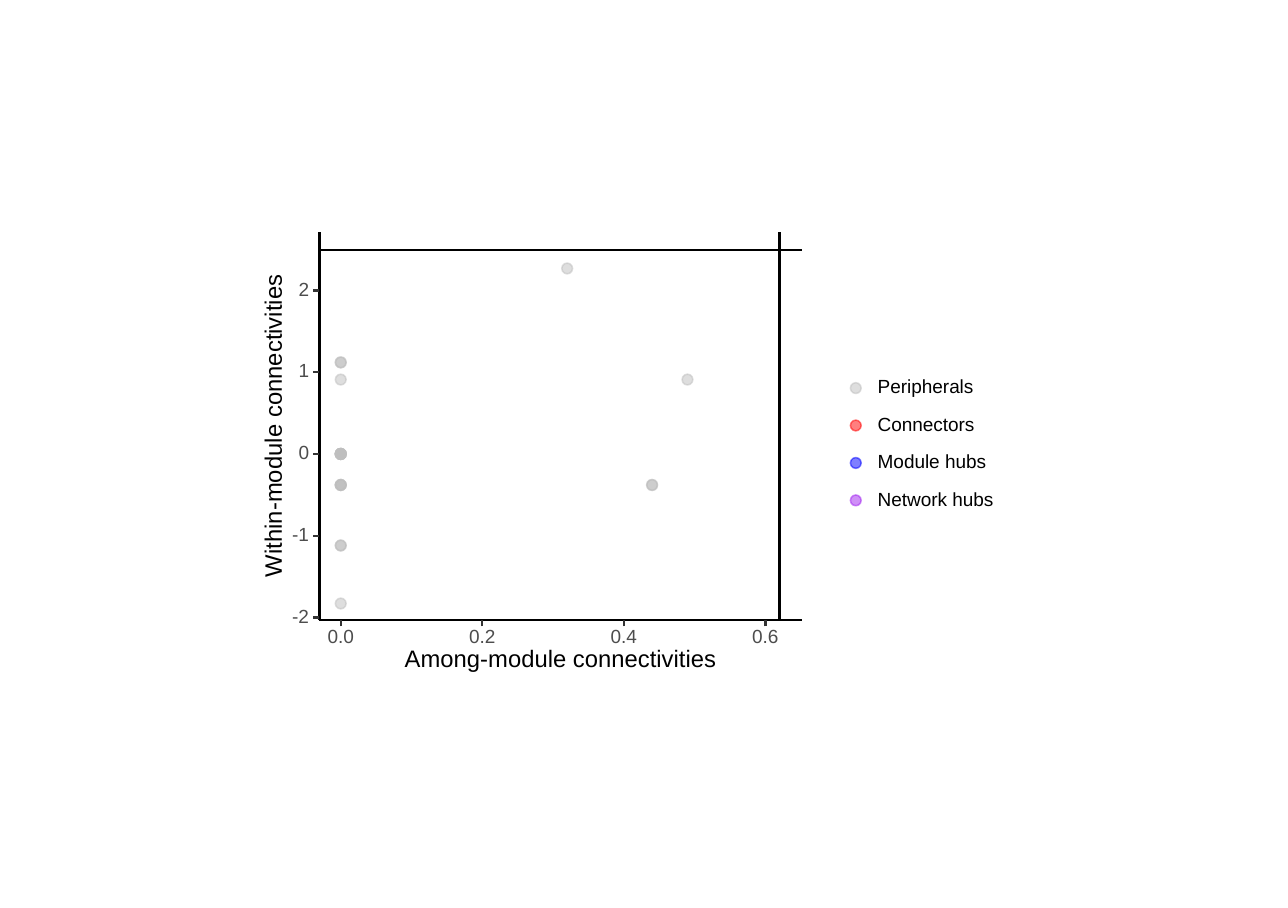
"""Build a slide with a scatter plot of module connectivities and its legend."""
import lxml.etree
import pptx
import pptx.dml.color
import pptx.enum.shapes
import pptx.enum.text
import pptx.oxml.ns
import pptx.util

BLACK = pptx.dml.color.RGBColor(0x00, 0x00, 0x00)
TICK_GRAY = pptx.dml.color.RGBColor(0x33, 0x33, 0x33)
LABEL_GRAY = pptx.dml.color.RGBColor(0x4D, 0x4D, 0x4D)
GRAY = pptx.dml.color.RGBColor(0xBE, 0xBE, 0xBE)
RED = pptx.dml.color.RGBColor(0xFF, 0x00, 0x00)
BLUE = pptx.dml.color.RGBColor(0x00, 0x00, 0xFF)
PURPLE = pptx.dml.color.RGBColor(0xA0, 0x20, 0xF0)

ALIGN = pptx.enum.text.PP_ALIGN
LEFT, RIGHT, TOP, BOTTOM = 24.8, 62.25, 25.56, 68.3
TICK_COLUMNS, TICK_ROWS = 0.48, 0.69
MODULE_LIMIT, AMONG_LIMIT = 2.5, 0.62

POINTS = [
    (0, 0, 7), (0, 1.12, 2), (0, -0.38, 4), (0.44, -0.38, 2), (0, -1.83, 1),
    (0.49, 0.91, 1), (0.32, 2.27, 1), (0, -1.12, 2), (0, 0.91, 1),
]
LEGEND = [
    ("Peripherals", GRAY), ("Connectors", RED),
    ("Module hubs", BLUE), ("Network hubs", PURPLE),
]


def plot_column(among):
    """Return the grid column of an among-module connectivity."""
    return 26.46 + 54.94 * among


def plot_row(within):
    """Return the grid row of a within-module connectivity."""
    return 50 - 9 * within


class PlotSlide:
    """Draw on one slide with a grid of 100 columns and 100 rows."""

    font = "Arial"
    line_width = pptx.util.Pt(1.07)
    dot_size = pptx.util.Pt(5)
    dot_line = pptx.util.Pt(0.71)

    def __init__(self, deck):
        """Add a blank page and measure its grid."""
        self.page = deck.slides.add_slide(deck.slide_layouts[6])
        self.column = deck.slide_width / 100
        self.row = deck.slide_height / 100

    def place(self, column, row):
        """Return a grid position as lengths."""
        return round(column * self.column), round(row * self.row)

    def line(self, start, end, color=BLACK):
        """Draw a straight line between two grid positions."""
        connector = self.page.shapes.add_connector(
            pptx.enum.shapes.MSO_CONNECTOR.STRAIGHT, *self.place(*start), *self.place(*end))
        connector.line.color.rgb = color
        connector.line.width = self.line_width
        properties = connector.element.find(pptx.oxml.ns.qn("p:spPr"))
        lxml.etree.SubElement(properties, pptx.oxml.ns.qn("a:effectLst"))

    def dot(self, column, row, color):
        """Draw a half-transparent dot centred on a grid position."""
        x, y = self.place(column, row)
        size = self.dot_size
        dot = self.page.shapes.add_shape(
            pptx.enum.shapes.MSO_SHAPE.OVAL, x - size // 2, y - size // 2, size, size)
        dot.shadow.inherit = False
        dot.fill.solid()
        dot.fill.fore_color.rgb = color
        dot.line.color.rgb = color
        dot.line.width = self.dot_line
        for paint in list(dot.element.iter(pptx.oxml.ns.qn("a:srgbClr"))):
            lxml.etree.SubElement(paint, pptx.oxml.ns.qn("a:alpha"), val="50000")

    def text(self, words, center, columns, size=8.8, color=BLACK, align=ALIGN.CENTER, turn=0):
        """Write one line of text centred on a grid position."""
        x, y = self.place(*center)
        width, height = round(columns * self.column), pptx.util.Pt(size)
        box = self.page.shapes.add_textbox(x - width // 2, y - height // 2, width, height)
        box.rotation = turn
        frame = box.text_frame
        frame.word_wrap = True
        frame.vertical_anchor = pptx.enum.text.MSO_ANCHOR.MIDDLE
        frame.margin_left = frame.margin_right = frame.margin_top = frame.margin_bottom = 0
        para = frame.paragraphs[0]
        para.text = words
        para.alignment = align
        para.line_spacing = pptx.util.Pt(size)
        para.font.name = self.font
        para.font.size = pptx.util.Pt(size)
        para.font.color.rgb = color


def main():
    """Build and save the deck."""
    deck = pptx.Presentation()
    deck.slide_width = pptx.util.Inches(8.27)
    deck.slide_height = pptx.util.Inches(5.83)
    plot = PlotSlide(deck)

    for among, within, count in POINTS:
        for _ in range(count):
            plot.dot(plot_column(among), plot_row(within), GRAY)

    for column in (plot_column(AMONG_LIMIT), LEFT):
        plot.line((column, BOTTOM), (column, TOP))
    for row in (plot_row(MODULE_LIMIT), BOTTOM):
        plot.line((LEFT, row), (RIGHT, row))

    for within in range(-2, 3):
        row = plot_row(within)
        plot.line((LEFT - TICK_COLUMNS, row), (LEFT, row), TICK_GRAY)
        plot.text(str(within), (23.2, row), 1.6, color=LABEL_GRAY, align=ALIGN.RIGHT)
    for among in (0.0, 0.2, 0.4, 0.6):
        column = plot_column(among)
        plot.line((column, BOTTOM + TICK_ROWS), (column, BOTTOM), TICK_GRAY)
        plot.text(str(among), (column, 70.2), 3, color=LABEL_GRAY)

    plot.text("Among-module connectivities", (43.53, 72.7), 26, size=11)
    plot.text("Within-module connectivities", (21.34, 46.9), 26, size=11, turn=270)

    for index, (name, color) in enumerate(LEGEND):
        row = 42.75 + 4.12 * index
        plot.dot(66.45, row, color)
        plot.text(name, (73.15, row), 10, align=ALIGN.LEFT)

    deck.save("out.pptx")


if __name__ == "__main__":
    main()
